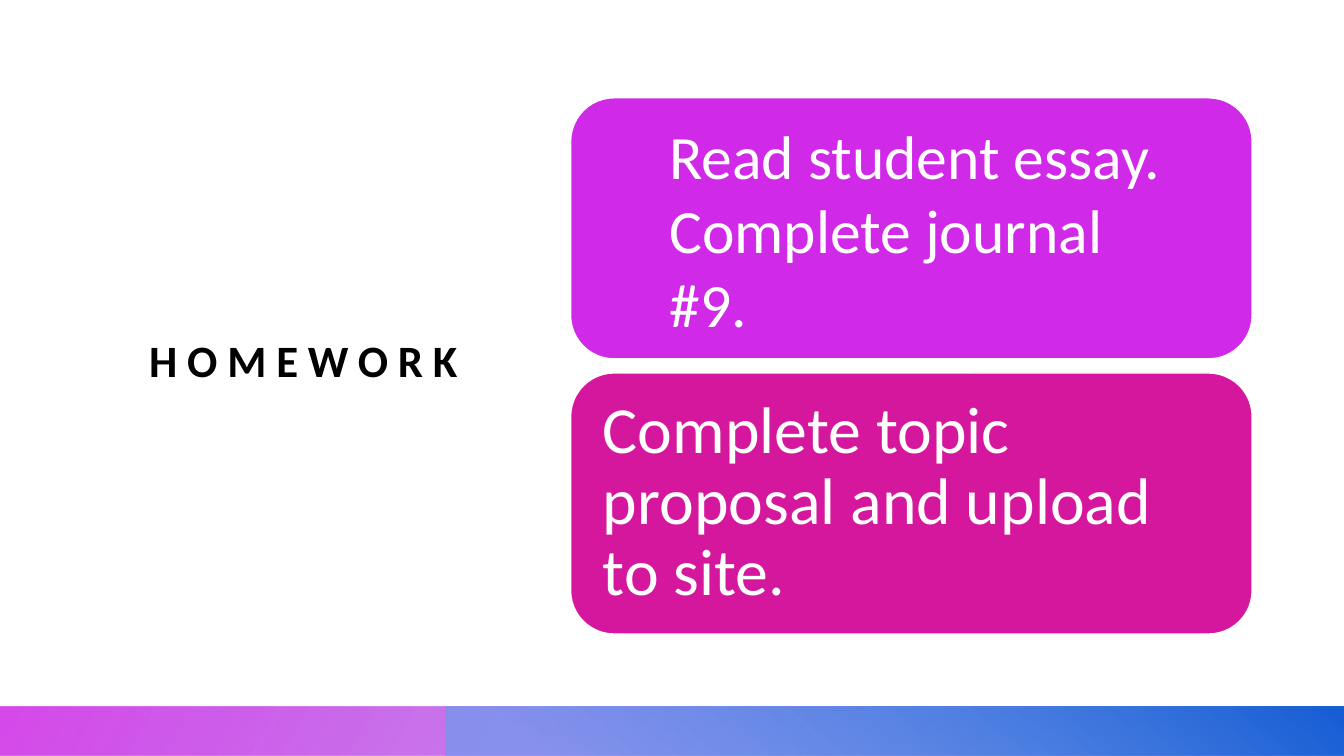
from dataclasses import dataclass

from lxml.etree import SubElement
from pptx import Presentation
from pptx.dml.color import RGBColor
from pptx.enum.shapes import MSO_SHAPE as SHAPE
from pptx.enum.text import MSO_ANCHOR as ANCHOR, MSO_AUTO_SIZE as AUTO
from pptx.oxml.ns import qn
from pptx.util import Pt

PX = 9144
WIDTH, HEIGHT = 1333, 750


@dataclass(frozen=True)
class Theme:
    """Colours, font and type sizes of the slide."""
    font: str = "Calibri"
    ink: str = "000000"
    paper: str = "FFFFFF"
    orchid: str = "D029E7"
    magenta: str = "D5179D"
    violet: str = "6F17D5"
    sky: str = "6B9CEF"
    blue: str = "175ED5"
    title: int = 32
    reading: int = 44
    proposal: int = 47


THEME = Theme()


def emu(*lengths):
    """Turn px lengths into EMU."""
    return [n * PX for n in lengths]


def add_text(s, box, lines, size, color, inset=(0, 0), anchor=ANCHOR.MIDDLE,
             bold=False, tracking=0, spacing=1.0):
    """Add a wrapped text box with one paragraph per line."""
    tf = s.shapes.add_textbox(*emu(*box)).text_frame
    tf.word_wrap = True
    tf.auto_size = AUTO.NONE
    tf.vertical_anchor = anchor
    tf.margin_left = tf.margin_right = inset[0] * PX
    tf.margin_top = tf.margin_bottom = inset[1] * PX
    for i, line in enumerate(lines):
        p = tf.add_paragraph() if i else tf.paragraphs[0]
        p.line_spacing = spacing
        r = p.add_run()
        r.text = line
        r.font.name = THEME.font
        r.font.size = Pt(size)
        r.font.bold = bold
        r.font.color.rgb = RGBColor.from_string(color)
        if tracking:
            r.font._element.set("spc", str(tracking * 100))


def add_gradient_bar(s, box, stops, angle, rotation=0):
    """Add a mirrored bar with a gradient of (position, colour, opacity) stops."""
    sp = s.shapes.add_shape(SHAPE.RECTANGLE, *emu(*box))
    sp.shadow.inherit = False
    sp.line.fill.background()
    sp.rotation = rotation
    sp._element.spPr.find(qn("a:xfrm")).set("flipH", "1")
    sp.fill.gradient()
    grad = sp._element.spPr.find(qn("a:gradFill"))
    for child in list(grad):
        grad.remove(child)
    gs_list = SubElement(grad, qn("a:gsLst"))
    for position, color, opacity in stops:
        gs = SubElement(gs_list, qn("a:gs"), pos=str(position * 1000))
        clr = SubElement(gs, qn("a:srgbClr"), val=color)
        SubElement(clr, qn("a:alpha"), val=str(opacity * 1000))
    SubElement(grad, qn("a:lin"), ang=str(angle * 60000), scaled="0")


def add_footer(s, box):
    """Add the two overlapping gradient bars along the bottom."""
    x, y, w, h = box
    split = 442
    add_gradient_bar(s, box, [(14, THEME.violet, 28), (100, THEME.orchid, 85)], 150, 180)
    add_gradient_bar(s, (x + split, y, w - split, h),
                     [(9, THEME.sky, 68), (99, THEME.blue, 100)], 230)


def add_card(s, box, color):
    """Add a rounded card."""
    sp = s.shapes.add_shape(SHAPE.ROUNDED_RECTANGLE, *emu(*box))
    sp.shadow.inherit = False
    sp.fill.solid()
    sp.fill.fore_color.rgb = RGBColor.from_string(color)
    sp.line.color.rgb = RGBColor.from_string(THEME.paper)
    sp.line.width = Pt(1)


def add_tasks(s, box):
    """Add the two stacked homework cards and their texts."""
    x, y, w, h = box
    gap = 14
    card_h = (h - gap) // 2
    low = y + card_h + gap
    add_card(s, (x, y, w, card_h), THEME.orchid)
    add_card(s, (x, low, w, card_h), THEME.magenta)
    add_text(s, (x + 12, low + 13, w - 26, card_h - 26),
             ["Complete topic proposal and upload to site."],
             THEME.proposal, THEME.paper, inset=(20, 20), spacing=0.9)
    add_text(s, (x + 88, y + 15, 522, card_h - 27),
             ["Read student essay.", "Complete journal #9."],
             THEME.reading, THEME.paper, inset=(10, 5), anchor=ANCHOR.TOP)


def homework_slide(prs):
    """Build the homework slide."""
    s = prs.slides.add_slide(prs.slide_layouts[6])
    s.background.fill.solid()
    s.background.fill.fore_color.rgb = RGBColor.from_string(THEME.paper)
    add_text(s, (148, 112, 364, 489), ["HOMEWORK"], THEME.title, THEME.ink,
             bold=True, tracking=7)
    add_footer(s, (0, 701, WIDTH, 49))
    add_tasks(s, (566, 97, 676, 532))


def main():
    """Create and save the presentation."""
    prs = Presentation()
    prs.slide_width, prs.slide_height = emu(WIDTH, HEIGHT)
    homework_slide(prs)
    prs.save("out.pptx")


if __name__ == "__main__":
    main()
